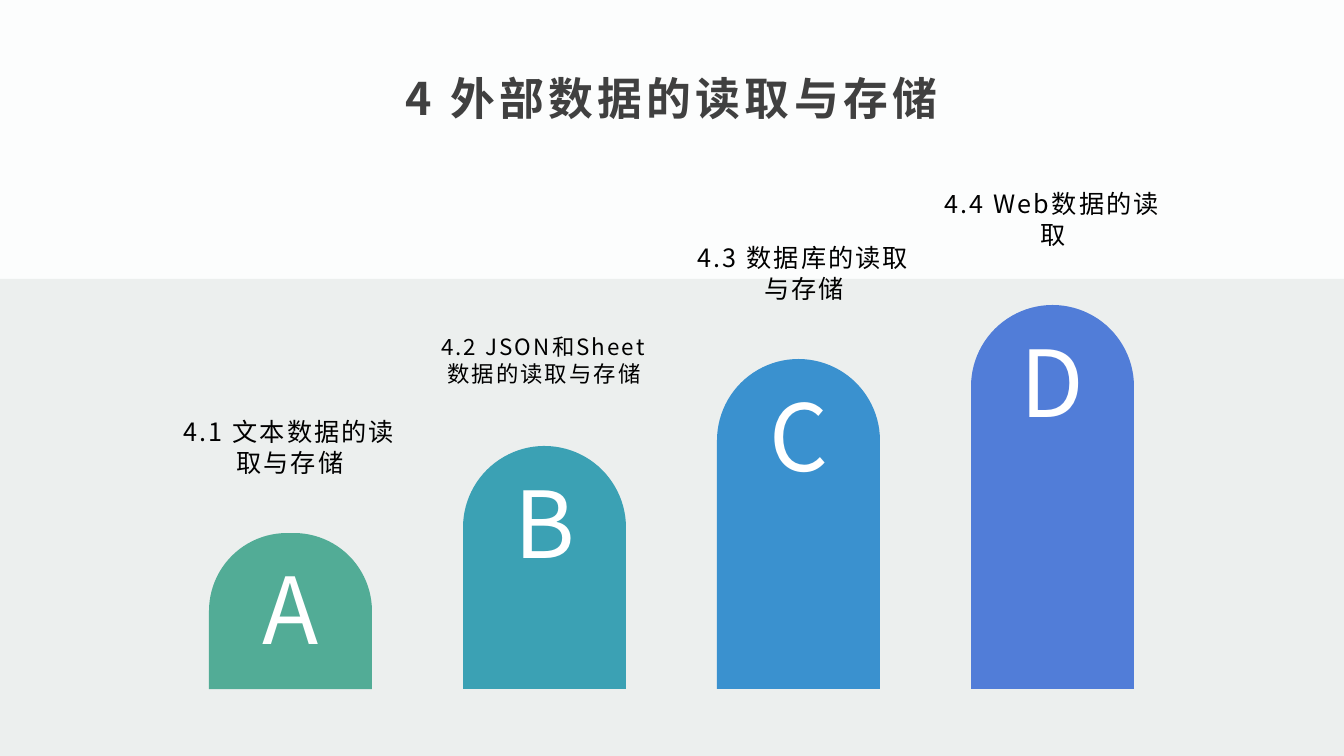
from pptx import Presentation
from pptx.dml.color import RGBColor
from pptx.enum.shapes import MSO_SHAPE
from pptx.enum.text import MSO_ANCHOR, MSO_AUTO_SIZE, PP_ALIGN
from pptx.oxml.ns import qn
from pptx.util import Emu, Pt
from lxml import etree
from dataclasses import dataclass

RECTANGLE = MSO_SHAPE.RECTANGLE
ARCH = MSO_SHAPE.ROUND_2_SAME_RECTANGLE
TOP, MIDDLE = MSO_ANCHOR.TOP, MSO_ANCHOR.MIDDLE
CENTER = PP_ALIGN.CENTER
NO_AUTOFIT = MSO_AUTO_SIZE.NONE

EMU_PER_PX = 914400 / 100.8
SLIDE_W, SLIDE_H = 1344, 756
TITLE_ONLY = 5


@dataclass(frozen=True)
class Theme:
    font: str = "Noto Sans CJK SC"
    background: str = "FCFDFD"
    band: str = "ECEFEE"
    title: str = "404040"
    label: str = "000000"
    letter: str = "FFFFFF"
    green: str = "52AC96"
    teal: str = "3BA1B4"
    blue: str = "3A91CF"
    indigo: str = "517DD8"
    title_size: int = 32
    label_size: int = 18
    small_label_size: int = 16
    letter_size: int = 66


def px(value):
    return Emu(round(value * EMU_PER_PX))


def write_text(frame, text, *, font, size, color, bold=False, spacing=0,
               after=0, anchor=TOP, insets=(10, 5, 10, 5)):
    """Fill a text frame; spacing and after are points, insets are px."""
    frame.word_wrap = True
    frame.auto_size = NO_AUTOFIT
    frame.vertical_anchor = anchor
    (frame.margin_left, frame.margin_top,
     frame.margin_right, frame.margin_bottom) = map(px, insets)
    paragraph = frame.paragraphs[0]
    paragraph.alignment = CENTER
    paragraph.space_before = Pt(0)
    paragraph.space_after = Pt(after)
    run = paragraph.add_run()
    run.text = text
    run.font.name = font
    run.font.size = Pt(size)
    run.font.bold = bold
    run.font.color.rgb = RGBColor.from_string(color)
    properties = run.font._element
    properties.set("spc", str(round(spacing * 100)))
    east_asian = etree.Element(qn("a:ea"), typeface=font)
    properties.find(qn("a:latin")).addnext(east_asian)


class SlideBuilder:
    def __init__(self, slide, theme):
        self.slide = slide
        self.theme = theme
        fill = slide.background.fill
        fill.solid()
        fill.fore_color.rgb = RGBColor.from_string(theme.background)

    def block(self, kind, left, top, width, height, color):
        shape = self.slide.shapes.add_shape(
            kind, px(left), px(top), px(width), px(height))
        shape.shadow.inherit = False
        shape.fill.solid()
        shape.fill.fore_color.rgb = RGBColor.from_string(color)
        shape.line.fill.background()
        return shape

    def title(self, text, left, top, width, height):
        heading = self.slide.shapes.title
        heading.left, heading.top = px(left), px(top)
        heading.width, heading.height = px(width), px(height)
        write_text(heading.text_frame, text, font=self.theme.font,
                   size=self.theme.title_size, color=self.theme.title,
                   bold=True, spacing=3, after=8, insets=(8, 4, 8, 4))

    def label(self, text, left, top, width, height, size):
        box = self.slide.shapes.add_textbox(
            px(left), px(top), px(width), px(height))
        write_text(box.text_frame, text, font=self.theme.font, size=size,
                   color=self.theme.label, spacing=1.5, anchor=MIDDLE)

    def bar(self, letter, left, top, width, height, color):
        arch = self.block(ARCH, left, top, width, height, color)
        arch.adjustments[0] = 0.5
        # The arch insets its own text area, so the top margin offsets it
        write_text(arch.text_frame, letter, font=self.theme.font,
                   size=self.theme.letter_size, color=self.theme.letter,
                   insets=(0, -4, 0, 0))


def main():
    theme = Theme()
    presentation = Presentation()
    presentation.slide_width, presentation.slide_height = px(SLIDE_W), px(SLIDE_H)
    layout = presentation.slide_layouts[TITLE_ONLY]
    builder = SlideBuilder(presentation.slides.add_slide(layout), theme)

    # Lower band and heading
    band_top = 279
    builder.block(RECTANGLE, 0, band_top, SLIDE_W, SLIDE_H - band_top, theme.band)
    builder.title("4 外部数据的读取与存储", 50, 67, 1243, 70)

    # Rising bars, each with its section label above
    first_left, bar_step, bar_width, bar_bottom = 209, 254, 163, 689
    label_width, label_height, label_rise = 244, 68, 120
    normal, small = theme.label_size, theme.small_label_size
    sections = [
        ("A", "4.1 文本数据的读取与存储", 533, 168, normal, theme.green),
        ("B", "4.2 JSON和Sheet数据的读取与存储", 446, 422, small, theme.teal),
        ("C", "4.3 数据库的读取与存储", 359, 682, normal, theme.blue),
        ("D", "4.4 Web数据的读取", 305, 931, normal, theme.indigo),
    ]
    for index, (letter, name, top, label_left, size, color) in enumerate(sections):
        builder.label(name, label_left, top - label_rise,
                      label_width, label_height, size)
        builder.bar(letter, first_left + index * bar_step, top,
                    bar_width, bar_bottom - top, color)

    presentation.save("out.pptx")


if __name__ == "__main__":
    main()
